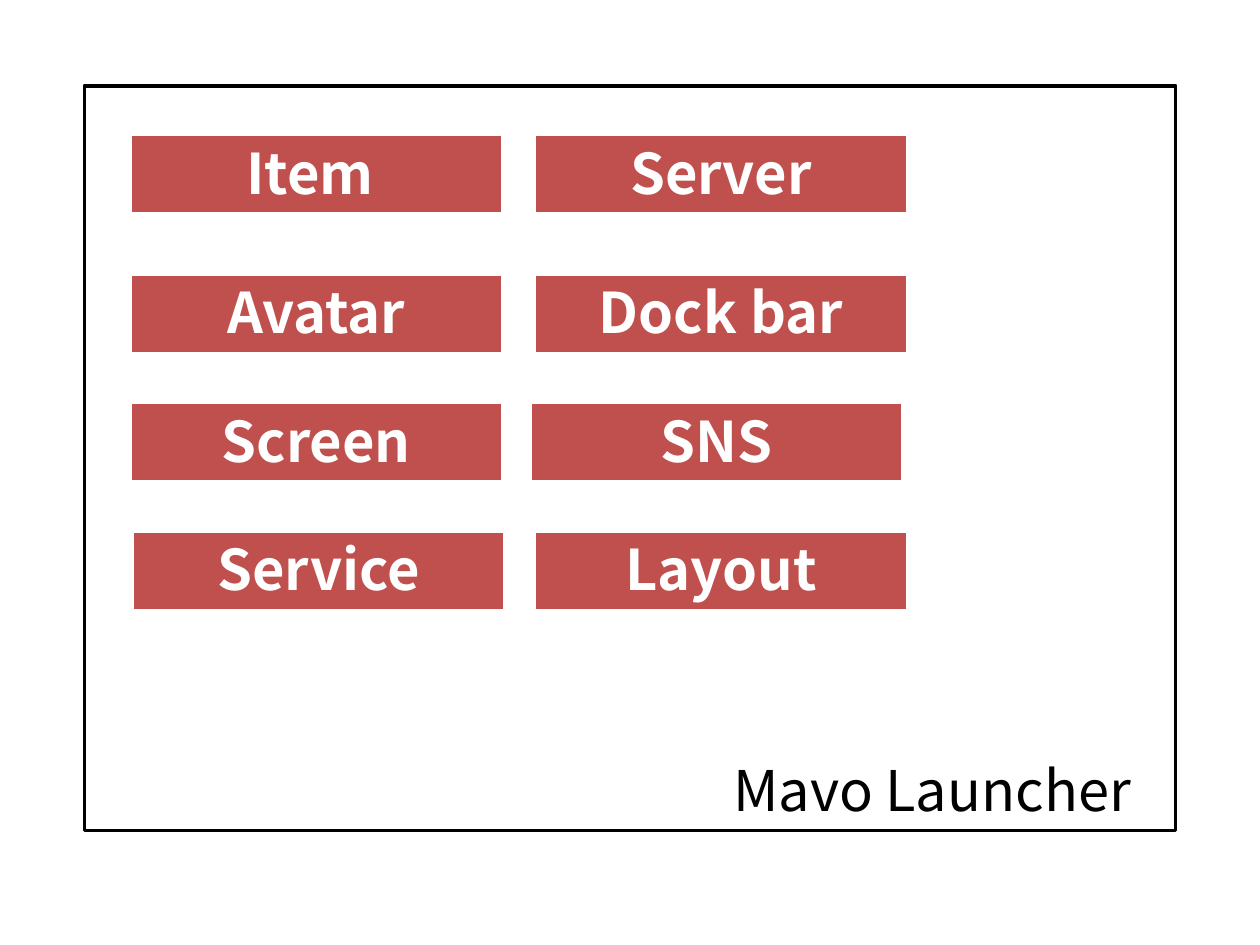
from lxml.etree import SubElement
from pptx import Presentation
from pptx.dml.color import RGBColor
from pptx.enum.shapes import MSO_SHAPE
from pptx.enum.text import MSO_ANCHOR, MSO_AUTO_SIZE, PP_ALIGN
from pptx.oxml.ns import qn
from pptx.util import Cm, Pt

FONT = "Noto Sans CJK KR"
BLACK, WHITE, RED = "000000", "FFFFFF", "C0504D"
LEFT_COLUMN, RIGHT_COLUMN = 2.64, 10.8
ROW_TOPS = [2.72, 5.54, 8.13, 10.72]
MODULE_ROWS = [
    ("Item ", "Server"),
    ("Avatar", "Dock bar"),
    ("Screen", "SNS"),
    ("Service", "Layout"),
]
NUDGES = {"SNS": -0.1, "Service": 0.05}
BORDERS = {"a:lnL": 1, "a:lnR": 1, "a:lnT": 1, "a:lnB": 3}


def color(value):
    return RGBColor.from_string(value)


def write_text(text_frame, text, text_color, bold=False):
    text_frame.text = text
    font = text_frame.paragraphs[0].runs[0].font
    font.name = FONT
    font.size = Pt(32)
    font.bold = bold
    font.color.rgb = color(text_color)


def add_frame(page):
    frame = page.shapes.add_shape(
        MSO_SHAPE.RECTANGLE, Cm(1.7), Cm(1.73), Cm(22), Cm(15.01))
    frame.shadow.inherit = False
    frame.fill.background()
    frame.line.color.rgb = color(BLACK)
    frame.line.width = Pt(2)


def add_title(page, text):
    box = page.shapes.add_textbox(Cm(14.53), Cm(15.11), Cm(9.17), Cm(1.63))
    box.text_frame.word_wrap = True
    box.text_frame.auto_size = MSO_AUTO_SIZE.SHAPE_TO_FIT_TEXT
    write_text(box.text_frame, text, BLACK)


def add_borders(cell):
    properties = cell._tc.get_or_add_tcPr()
    for tag, width in BORDERS.items():
        line = SubElement(properties, qn(tag), w=str(Pt(width)))
        fill = SubElement(line, qn("a:solidFill"))
        SubElement(fill, qn("a:srgbClr"), val=WHITE)


def add_module(page, text, left, top):
    table = page.shapes.add_table(
        1, 1, Cm(left), Cm(top), Cm(7.47), Cm(1.6)).table
    cell = table.cell(0, 0)
    add_borders(cell)
    cell.fill.solid()
    cell.fill.fore_color.rgb = color(RED)
    cell.margin_top = cell.margin_bottom = Cm(0)
    cell.vertical_anchor = MSO_ANCHOR.MIDDLE
    write_text(cell.text_frame, text, WHITE, bold=True)
    paragraph = cell.text_frame.paragraphs[0]
    paragraph.alignment = PP_ALIGN.CENTER
    paragraph.line_spacing = 0.8


def main():
    deck = Presentation()
    deck.slide_width, deck.slide_height = Cm(25.4), Cm(19.05)
    page = deck.slides.add_slide(deck.slide_layouts[6])
    add_frame(page)
    add_title(page, "Mavo Launcher")
    for top, names in zip(ROW_TOPS, MODULE_ROWS):
        for left, name in zip((LEFT_COLUMN, RIGHT_COLUMN), names):
            add_module(page, name, left + NUDGES.get(name, 0), top)
    deck.save("out.pptx")


if __name__ == "__main__":
    main()
